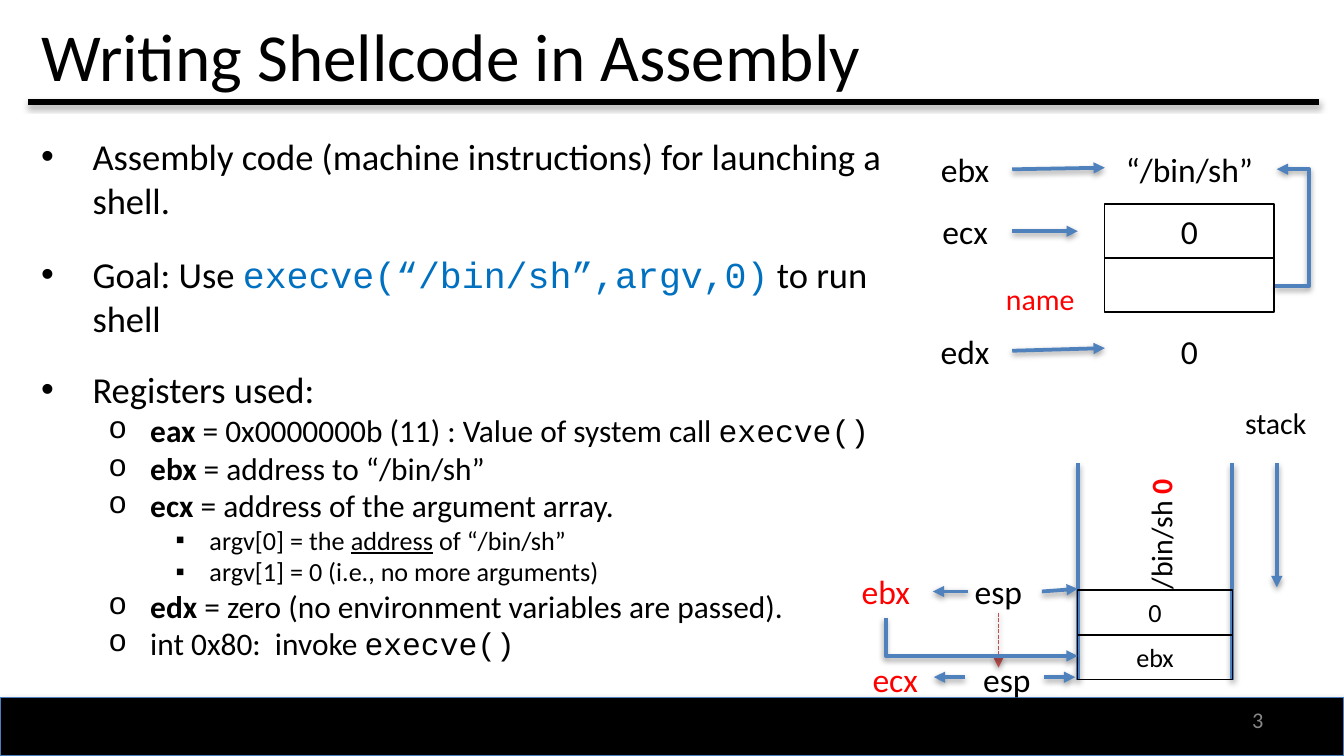
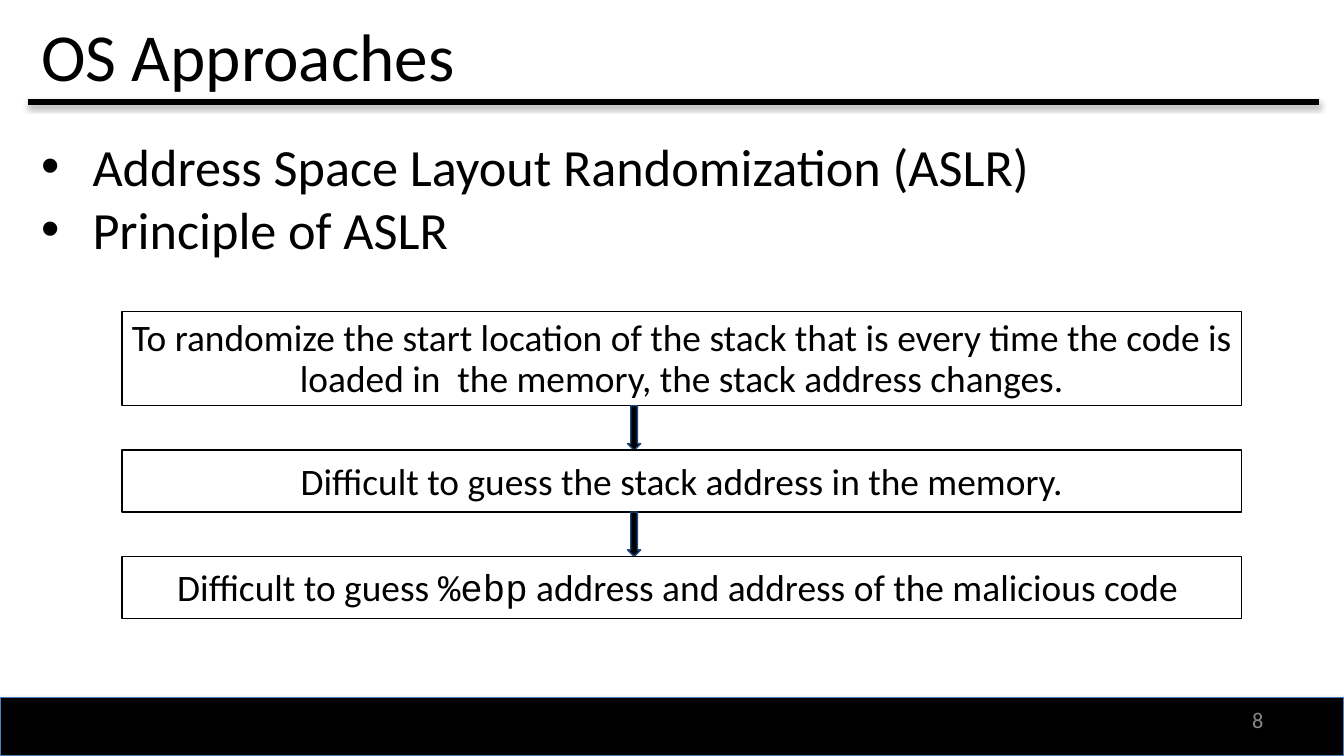
from lxml import etree
from pptx import Presentation
from pptx import util as u
from pptx.dml.color import RGBColor
from pptx.enum import dml, shapes, text
from pptx.oxml.ns import qn

BLACK, BLUE, RED, GRAY = "000000", "4F81BD", "FF0000", "888888"
CODE = {"name": "Courier New"}
BOLD = {"bold": True}
CENTER, LEFT, RIGHT = text.PP_ALIGN.CENTER, text.PP_ALIGN.LEFT, text.PP_ALIGN.RIGHT
LEVELS = [(0.97, 0.97, "•", "Arial"), (2.06, 0.79, "o", "Courier New"), (3.18, 0.64, "▪", "Arial")]

REGISTER_NOTES = [
    (0, 19.6, 0, [("Assembly code (machine instructions) for launching a shell.", {})]),
    (0, 19.6, 16, [("Goal: Use ", {}), ("execve(“/bin/sh”,argv,0)", {**CODE, "color": "0070C0"}),
                   (" to run shell", {})]),
    (0, 19.6, 15, [("Registers used:", {})]),
    (1, 16.8, 0, [("eax", BOLD), (" = 0x0000000b (11) : Value of system call ", {}), ("execve()", CODE)]),
    (1, 16.8, 0, [("ebx", BOLD), (" = address to “/bin/sh”", {})]),
    (1, 16.8, 0, [("ecx", BOLD), (" = address of the argument array.", {})]),
    (2, 14, 0, [("argv[0] = the ", {}), ("address", {"underline": True}), (" of “/bin/sh”", {})]),
    (2, 14, 0, [("argv[1] = 0 (i.e., no more arguments)", {})]),
    (1, 16.8, 0, [("edx", BOLD), (" = zero (no environment variables are passed).", {})]),
    (1, 16.8, 0, [("int 0x80:  invoke ", {}), ("execve()", CODE)]),
]
ASLR_NOTES = [
    (0, 28, 0, [("Address Space Layout Randomization (ASLR)", {})]),
    (0, 28, 0, [("Principle of ASLR", {})]),
]
ASLR_STEPS = [
    (1.78, [("To randomize the start location of the stack that is every time the code is "
             "loaded in  the memory, the stack address changes.", {})],
     {"line_spacing": 0.9, "space_before": u.Pt(5.6)}),
    (1.17, [("Difficult to guess the stack address in the memory.", {})], {}),
    (1.17, [("Difficult to guess ", {}), ("%ebp", CODE),
            (" address and address of the malicious code ", {})], {}),
]


def rgb(value):
    return RGBColor.from_string(value)


def cm(*lengths):
    return [u.Cm(length) for length in lengths]


def apply(target, values):
    for name, value in values.items():
        setattr(target, name, value)


def add_runs(paragraph, runs, size, color=BLACK):
    for words, style in runs:
        run = paragraph.add_run()
        run.text = words
        font = {"name": "Calibri", "size": u.Pt(size), **style}
        run.font.color.rgb = rgb(font.pop("color", color))
        apply(run.font, font)


def add_shadow(item, distance=20000, alpha=38000):
    effects = etree.SubElement(item.element.spPr, qn("a:effectLst"))
    outer = etree.SubElement(effects, qn("a:outerShdw"), blurRad="40000", dist=str(distance),
                             dir="5400000", rotWithShape="0")
    tint = etree.SubElement(outer, qn("a:srgbClr"), val=BLACK)
    etree.SubElement(tint, qn("a:alpha"), val=str(alpha))


def add_block(slide, box, fill=None, line=BLACK, kind=shapes.MSO_SHAPE.RECTANGLE):
    block = slide.shapes.add_shape(kind, *cm(*box))
    if fill:
        block.fill.solid()
        block.fill.fore_color.rgb = rgb(fill)
    else:
        block.fill.background()
    block.line.color.rgb = rgb(line)
    block.line.width = u.Pt(0.75)
    return block


def write(holder, runs, size, color=BLACK, align=CENTER, side=0.0, edge=0.13,
          anchor=text.MSO_ANCHOR.TOP, spacing=None):
    frame = holder.text_frame
    apply(frame, {"word_wrap": True, "vertical_anchor": anchor,
                  "margin_left": u.Cm(side), "margin_right": u.Cm(side),
                  "margin_top": u.Cm(edge), "margin_bottom": u.Cm(edge)})
    paragraph = frame.paragraphs[0]
    apply(paragraph, {"alignment": align, **(spacing or {})})
    add_runs(paragraph, runs, size, color)


def add_label(slide, words, box, size=18, color=BLACK, **layout):
    label = slide.shapes.add_textbox(*cm(*box))
    write(label, [(words, {})], size, color, **layout)
    return label


def add_cell(slide, words, box, size):
    cell = add_block(slide, box)
    cell.shadow.inherit = False
    if words:
        write(cell, [(words, {})], size)


def add_line(slide, start, end, color=BLUE, width=2, arrow="tailEnd", dash=None,
             kind=shapes.MSO_CONNECTOR.STRAIGHT, begin=None, finish=None):
    line = slide.shapes.add_connector(kind, *cm(*start, *end))
    if begin:
        line.begin_connect(begin, 3)
    if finish:
        line.end_connect(finish, 3)
    line.line.color.rgb = rgb(color)
    line.line.width = u.Pt(width)
    if dash:
        line.line.dash_style = dash
    if arrow:
        etree.SubElement(line.element.spPr.find(qn("a:ln")), qn(f"a:{arrow}"), type="triangle")
    add_shadow(line)
    return line


def add_bullets(slide, notes, width):
    frame = slide.shapes.add_textbox(*cm(0.53, 2.41, width, 10.46)).text_frame
    frame.word_wrap = True
    for index, (level, size, before, runs) in enumerate(notes):
        paragraph = frame.add_paragraph() if index else frame.paragraphs[0]
        indent, hang, mark, font = LEVELS[level]
        apply(paragraph, {"level": level, "alignment": LEFT, "space_before": u.Pt(before)})
        properties = paragraph._p.get_or_add_pPr()
        properties.set("marL", str(u.Cm(indent)))
        properties.set("indent", str(-u.Cm(hang)))
        etree.SubElement(properties, qn("a:buFont"), typeface=font)
        etree.SubElement(properties, qn("a:buChar"), char=mark)
        add_runs(paragraph, runs, size)


def add_slide(deck, title, page):
    slide = deck.slides.add_slide(deck.slide_layouts[6])
    band = add_block(slide, (0, 13.18, 25.4, 1.11), BLACK, "4B7EBC")
    add_shadow(band, 23000, 35000)
    add_line(slide, (0.53, 1.93), (24.92, 1.93), BLACK, 3, None)
    middle = {"side": 0.25, "anchor": text.MSO_ANCHOR.MIDDLE}
    add_label(slide, title, (0.53, 0.28, 24.38, 1.5), 36, align=LEFT, **middle)
    add_label(slide, page, (18.21, 13.23, 5.92, 0.76), 12, GRAY, align=RIGHT, **middle)
    return slide


def draw_registers(slide):
    for name, top, target in [("ebx", 2.69, (20.88, 3.17)), ("ecx", 3.86, (20.37, 4.37)),
                              ("edx", 6.12, (20.88, 6.58))]:
        register = add_label(slide, name, (17.35, top, 1.78, 1.02))
        add_line(slide, (19.13, top + 0.51), target, begin=register)
    add_label(slide, "“/bin/sh”", (20.88, 2.69, 3.2, 1.02))
    add_label(slide, "0", (20.88, 6.12, 3.2, 1.02))
    for words, top in [("0", 3.86), ("", 4.88)]:
        add_cell(slide, words, (20.88, top, 3.2, 1.02), 18)
    add_label(slide, "name", (18.62, 5.18, 2.08, 0.94), 16, RED)
    pointer = add_line(slide, (24.1, 5.41), (24.13, 3.2), kind=shapes.MSO_CONNECTOR.ELBOW)
    bend = pointer.element.spPr.find(qn("a:prstGeom")).find(qn("a:avLst"))
    etree.SubElement(bend, qn("a:gd"), name="adj1", fmla="val 2133000")


def draw_stack(slide):
    for rail in (20.37, 23.29):
        add_line(slide, (rail, 8.76), (rail, 12.85), arrow=None)
    add_line(slide, (24.13, 8.76), (24.13, 11.1))
    add_label(slide, "stack", (23.22, 7.52, 1.78, 0.94), 16)
    command = slide.shapes.add_textbox(*cm(20.6, 9.63, 2.67, 0.94))
    command.rotation = 270
    write(command, [("/bin/sh ", {}), ("0", {**BOLD, "color": RED})], 16)
    for words, top in [("0", 11.15), ("ebx", 11.99)]:
        add_cell(slide, words, (20.37, top, 2.92, 0.86), 14)
    for words, left, top, color in [("esp", 17.98, 10.67, BLACK), ("esp", 18.14, 12.32, BLACK),
                                    ("ecx", 16.03, 12.32, RED)]:
        add_label(slide, words, (left, top, 1.78, 1.02), color=color)
    saved_ebx = add_label(slide, "ebx", (15.85, 10.67, 1.78, 1.02), color=RED)
    add_line(slide, (18.29, 11.18), (17.63, 11.18), finish=saved_ebx)
    for start, end in [((19.69, 11.18), (20.37, 11.13)), ((19.74, 12.8), (20.32, 12.8)),
                       ((18.24, 12.8), (17.65, 12.8))]:
        add_line(slide, start, end)
    add_line(slide, (18.87, 11.58), (18.87, 12.62), "C0504D", 0.75,
             dash=dml.MSO_LINE.SQUARE_DOT)
    push = add_line(slide, (20.37, 12.4), (16.74, 11.68), arrow="headEnd",
                    kind=shapes.MSO_CONNECTOR.ELBOW)
    push.element.spPr.find(qn("a:prstGeom")).set("prst", "bentConnector2")


def draw_steps(slide):
    top, gap = 5.89, 0.84
    for index, (height, runs, spacing) in enumerate(ASLR_STEPS):
        if index:
            arrow = add_block(slide, (11.86, top - gap, 0.25, gap), BLACK, "1F497D",
                              shapes.MSO_SHAPE.DOWN_ARROW)
            arrow.shadow.inherit = False
        step = add_block(slide, (2.31, top, 21.16, height))
        step.shadow.inherit = False
        write(step, runs, 20, side=0.15, edge=0.15, spacing=spacing)
        top += height + gap


def main():
    deck = Presentation()
    deck.slide_width, deck.slide_height = cm(25.4, 14.29)
    shellcode = add_slide(deck, "Writing Shellcode in Assembly", "3")
    add_bullets(shellcode, REGISTER_NOTES, 16.92)
    draw_registers(shellcode)
    draw_stack(shellcode)
    aslr = add_slide(deck, "OS Approaches", "8")
    add_bullets(aslr, ASLR_NOTES, 24.38)
    draw_steps(aslr)
    deck.save("out.pptx")


if __name__ == "__main__":
    main()
